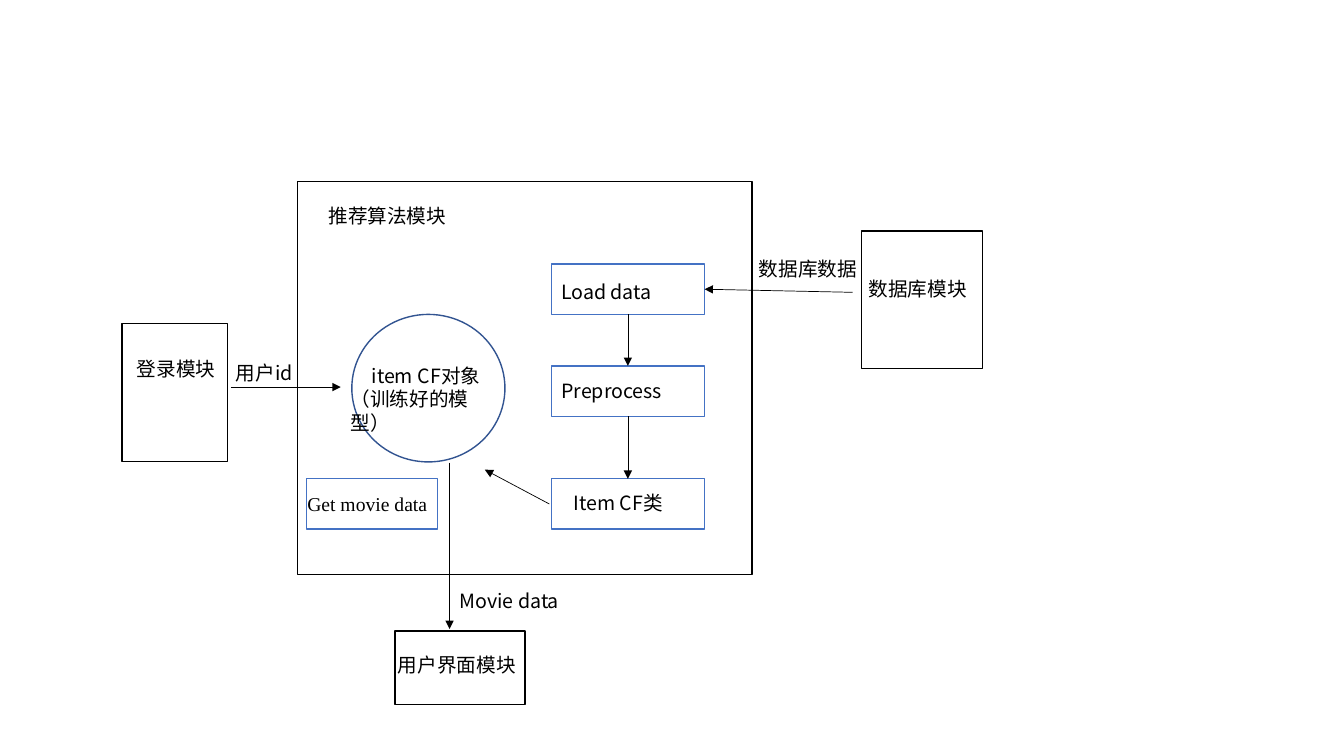
from pptx import Presentation
from pptx.dml.color import RGBColor
from pptx.enum.shapes import MSO_CONNECTOR as Connector, MSO_SHAPE as Shape
from pptx.enum.text import MSO_AUTO_SIZE as AutoSize
from pptx.oxml.ns import qn
from pptx.util import Pt
from lxml.etree import SubElement

SANS = "Noto Sans CJK SC"
SERIF = "Times New Roman"
BLACK = "000000"
BLUE = "4472C4"
NAVY = "325491"


def color(value):
    return RGBColor.from_string(value)


def add_outline(page, left, top, width, height, line=BLACK, kind=Shape.RECTANGLE):
    """Add an unfilled shape with a thin outline."""
    box = page.shapes.add_shape(kind, Pt(left), Pt(top), Pt(width), Pt(height))
    box.shadow.inherit = False
    box.fill.background()
    box.line.color.rgb = color(line)
    box.line.width = Pt(1)
    return box


def add_label(page, text, left, top, width=125.3, height=24.5, font=SANS,
              size=14, ink=BLACK, first_indent=0):
    """Add a text box; each line of the text becomes a paragraph."""
    box = page.shapes.add_textbox(Pt(left), Pt(top), Pt(width), Pt(height))
    frame = box.text_frame
    frame.word_wrap = True
    frame.auto_size = AutoSize.SHAPE_TO_FIT_TEXT
    frame.text = text
    for para in frame.paragraphs:
        for span in para.runs:
            span.font.name = font
            span.font.size = Pt(size)
            span.font.color.rgb = color(ink)
            SubElement(span.font._element, qn("a:ea"), typeface=font)
    if first_indent:
        props = frame.paragraphs[0]._p.get_or_add_pPr()
        props.set("indent", str(Pt(first_indent)))
    return box


def add_arrow(page, x1, y1, x2, y2):
    """Add a hairline with a triangular head at its end."""
    arrow = page.shapes.add_connector(
        Connector.STRAIGHT, Pt(x1), Pt(y1), Pt(x2), Pt(y2))
    arrow.line.color.rgb = color(BLACK)
    arrow.line.width = Pt(0.5)
    SubElement(arrow.line._get_or_add_ln(), qn("a:tailEnd"), type="triangle")
    SubElement(arrow._element.spPr, qn("a:effectLst"))
    return arrow


def add_steps(page):
    """Add the column of processing steps, joined by arrows."""
    left, width, height = 393.8, 109.4, 36
    middle = left + width / 2
    steps = [("Load data", 188.6, 0, 8), ("Preprocess", 261.4, 0, 5.7),
             ("Item CF类", 342, 8.7, 5)]
    previous_bottom = None
    for text, top, shift_x, shift_y in steps:
        add_outline(page, left, top, width, height, line=BLUE)
        add_label(page, text, left + shift_x, top + shift_y)
        if previous_bottom is not None:
            add_arrow(page, middle, previous_bottom, middle, top)
        previous_bottom = top + height


def main():
    deck = Presentation()
    deck.slide_width, deck.slide_height = Pt(960), Pt(540)
    page = deck.slides.add_slide(deck.slide_layouts[6])

    # Recommendation module
    add_outline(page, 212.4, 129.6, 324.7, 280.8)
    add_label(page, "推荐算法模块", 227.5, 141.8)
    add_steps(page)

    # Trained model and its query
    add_outline(page, 251.3, 224.6, 109.4, 105.4, line=NAVY, kind=Shape.OVAL)
    add_label(page, "item CF对象\n（训练好的模型）", 243.4, 256.3, height=41,
              first_indent=15)
    add_outline(page, 218.9, 342, 93.6, 36, line=BLUE)
    add_label(page, "Get movie data", 212.4, 347.8, width=135.4, font=SERIF)

    # Modules around it: box, then name
    modules = [
        ("登录模块", (87.1, 231.1, 75.6, 98.6), (90.7, 251.3)),
        ("数据库模块", (615.6, 164.9, 86.4, 98.6), (613.4, 194.4)),
        ("用户界面模块", (282.2, 450.7, 92.9, 52.6), (277.2, 463)),
    ]
    for name, outline, place in modules:
        add_outline(page, *outline)
        add_label(page, name, *place)

    # Data flows
    add_arrow(page, 392.4, 360, 346.3, 335.5)
    flows = [
        ("用户id", (164.9, 276.5, 243.4, 276.5), (161.3, 254.2)),
        ("数据库数据", (609.1, 208.8, 503.3, 206.6), (535, 180)),
        ("Movie data", (321.1, 330.5, 321.1, 449.3), (321.1, 416.9)),
    ]
    for name, ends, place in flows:
        add_arrow(page, *ends)
        add_label(page, name, *place)

    deck.save("out.pptx")


if __name__ == "__main__":
    main()
